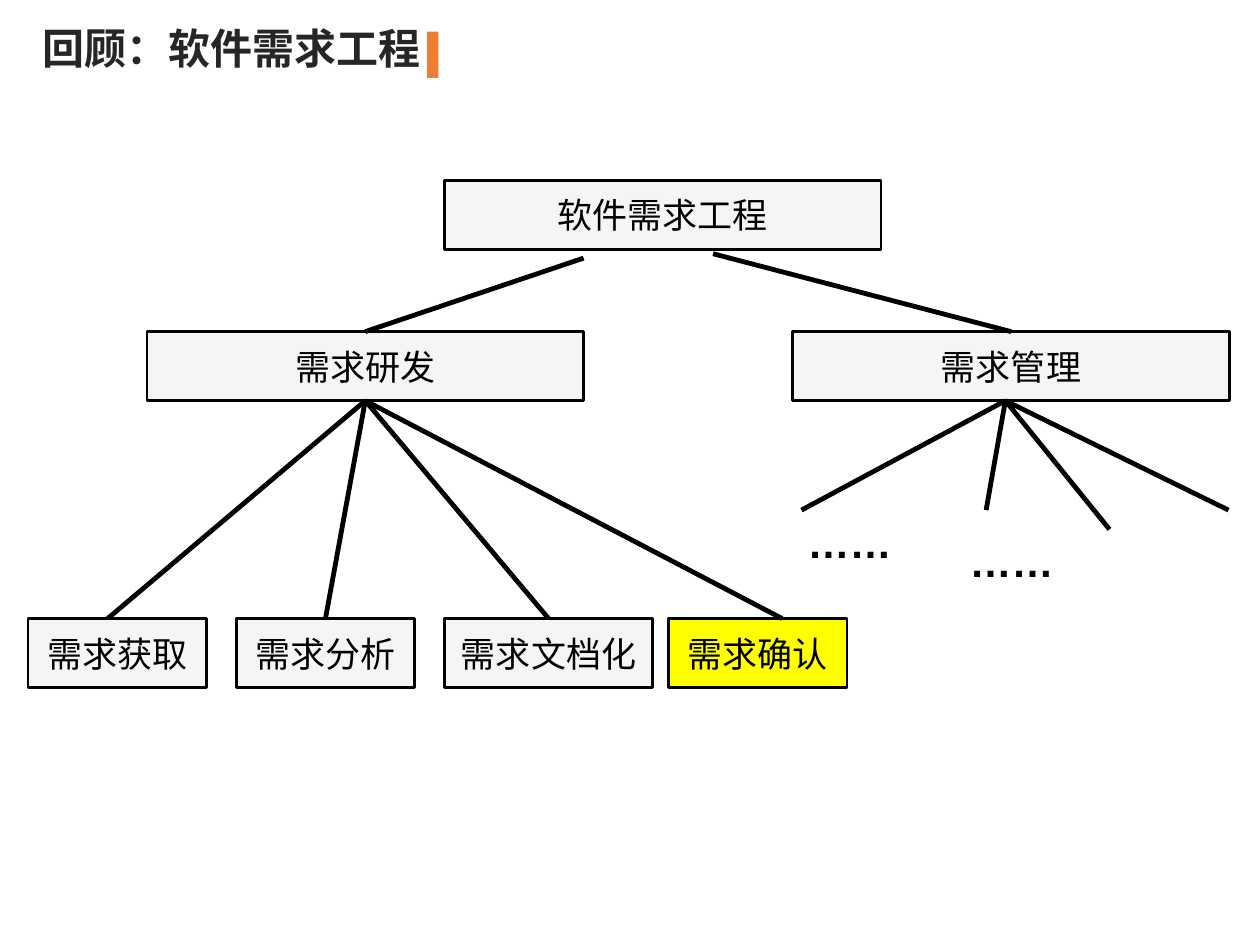
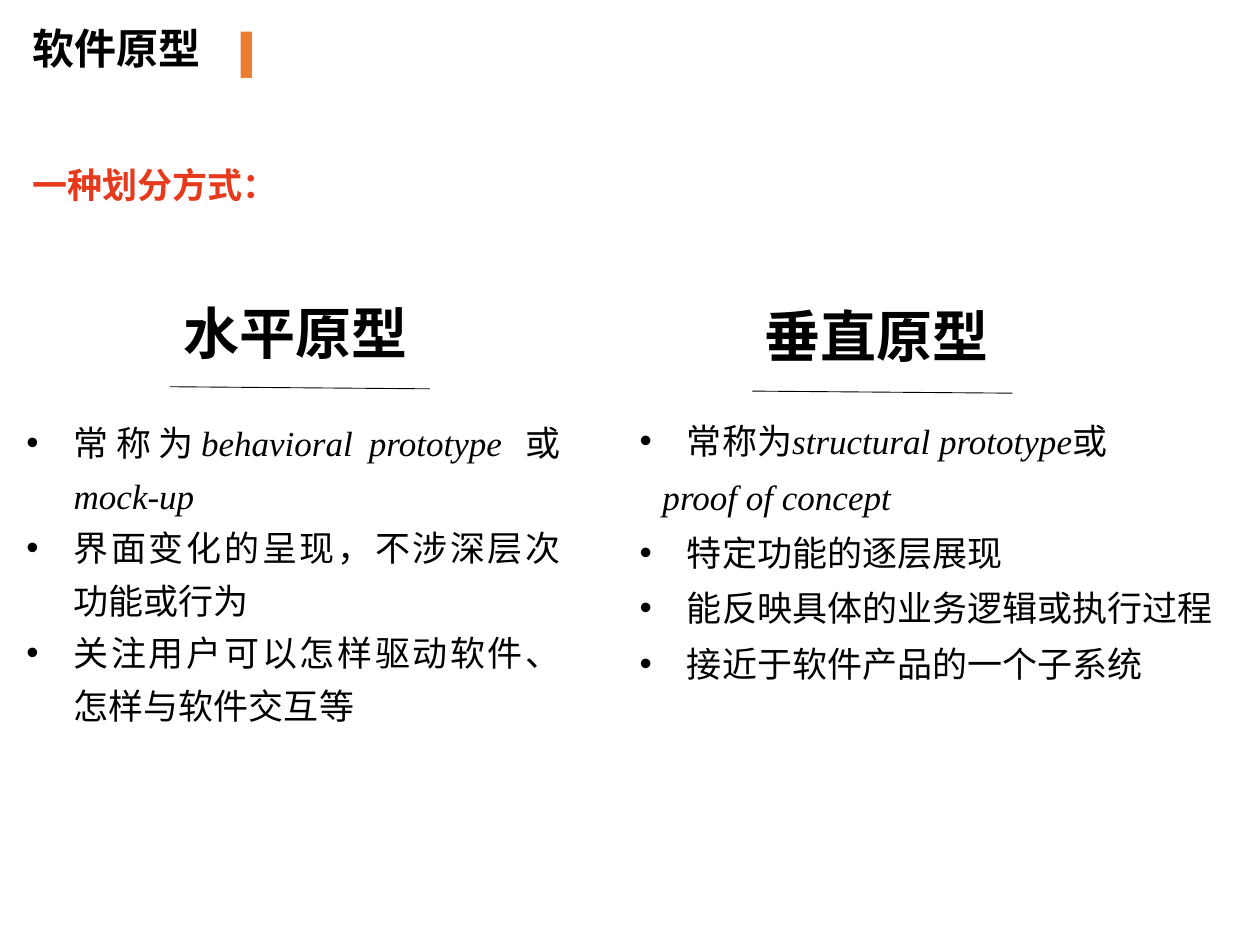
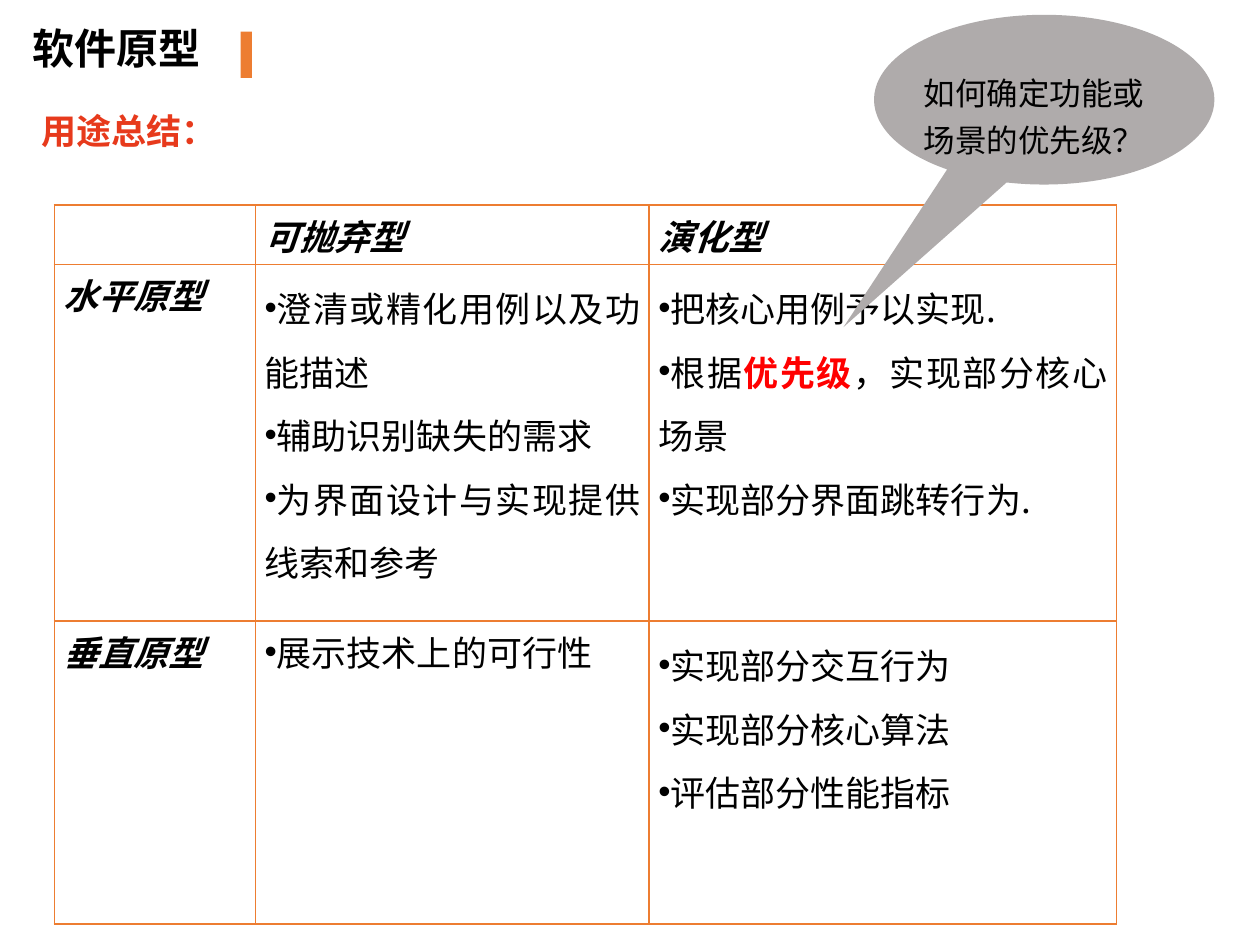
from lxml import etree
from pptx import Presentation
from pptx.dml.color import RGBColor
from pptx.enum.shapes import MSO_CONNECTOR, MSO_SHAPE
from pptx.enum.text import MSO_ANCHOR, PP_ALIGN as ALIGN
from pptx.oxml.ns import qn
from pptx.util import Pt

COLORS = {
    "black": "000000", "title": "262626", "accent": "ED7D31", "heading": "E73A1C",
    "box": "F5F5F5", "current": "FFFF00", "callout": "AFABAB", "priority": "FF0000",
}
RGB = {name: RGBColor.from_string(value) for name, value in COLORS.items()}
CJK, LATIN, HEADING = "Noto Sans CJK SC", "Times New Roman", "Cabin"


def write(p, runs, size=20, color="black", font=CJK, bold=False, italic=False):
    """Add runs to a paragraph; a run is a text or a (text, overrides) pair."""
    for run in runs:
        text, extra = (run, {}) if isinstance(run, str) else run
        look = dict(color=color, font=font, bold=bold, italic=italic) | extra
        r = p.add_run()
        r.text = text
        r.font.size = Pt(size)
        r.font.name = look["font"]
        r.font.bold, r.font.italic = look["bold"], look["italic"]
        r.font.color.rgb = RGB[look["color"]]
        ea = etree.SubElement(r.font._element, qn("a:ea"))
        ea.set("typeface", CJK if look["font"] == HEADING else look["font"])


def add_bullet(p, indent=0):
    pPr = p._p.get_or_add_pPr()
    pPr.set("marL", str(Pt(indent)))
    pPr.set("indent", str(-Pt(indent)))
    etree.SubElement(pPr, qn("a:buFont")).set("typeface", "Arial")
    etree.SubElement(pPr, qn("a:buChar")).set("char", "•")


prs = Presentation()
prs.slide_width, prs.slide_height = Pt(720), Pt(540)
tree, kinds, summary = [prs.slides.add_slide(prs.slide_layouts[6]) for _ in range(3)]

# Titles with their accent bars
for s, title, x, w, color, bar_x in (
    (tree, "回顾：软件需求工程", 17.3, 233, "title", 244),
    (kinds, "软件原型", 11.5, 132.5, "black", 137.5),
    (summary, "软件原型", 11.5, 132.5, "black", 137.5),
):
    tf = s.shapes.add_textbox(Pt(x), Pt(13), Pt(w), Pt(36)).text_frame
    tf.word_wrap, tf.margin_top = True, 0
    write(tf.paragraphs[0], [title], size=24, color=color, bold=True)
    bar = s.shapes.add_shape(MSO_SHAPE.RECTANGLE, Pt(bar_x), Pt(18), Pt(6.5), Pt(26.5))
    bar.shadow.inherit = False
    bar.fill.solid()
    bar.fill.fore_color.rgb = RGB["accent"]
    bar.line.fill.background()

# Single-line headings and labels
red = dict(color="heading", font=HEADING, bold=True)
dots = dict(size=24, font="Arial", bold=True)
big = dict(size=32, bold=True)
for s, text, x, y, w, h, top, look in (
    (tree, "……", 454.5, 291.5, 71.5, 36.5, 3.6, dots),
    (tree, "……", 547, 302.5, 114.5, 36.5, 3.6, dots),
    (kinds, "一种划分方式：", 11.5, 93.5, 160, 32, 0, red),
    (kinds, "水平原型", 98, 170.5, 146, 46, 0, big),
    (kinds, "垂直原型", 430, 172, 146, 46, 0, big),
    (summary, "用途总结：", 16.5, 62.5, 184, 32, 0, red),
):
    tf = s.shapes.add_textbox(Pt(x), Pt(y), Pt(w), Pt(h)).text_frame
    tf.word_wrap, tf.margin_top = True, Pt(top)
    write(tf.paragraphs[0], [text], **look)

# Slide 1: requirements engineering tree
ROOT_Y, BRANCH_Y, LEAF_Y, BOX_H = 103, 189.5, 353.5, 39.5
boxes = {}
for text, x, y, w in (
    ("软件需求工程", 254, ROOT_Y, 249.5),
    ("需求研发", 84, BRANCH_Y, 249.5),
    ("需求管理", 453, BRANCH_Y, 249.5),
    ("需求获取", 16, LEAF_Y, 102),
    ("需求分析", 135, LEAF_Y, 102),
    ("需求文档化", 254, LEAF_Y, 119),
    ("需求确认", 382, LEAF_Y, 102),
):
    sp = tree.shapes.add_shape(MSO_SHAPE.RECTANGLE, Pt(x), Pt(y), Pt(w), Pt(BOX_H))
    sp.shadow.inherit = False
    sp.fill.solid()
    sp.fill.fore_color.rgb = RGB["current" if text == "需求确认" else "box"]
    sp.line.color.rgb, sp.line.width = RGB["black"], Pt(1.5)
    tf = sp.text_frame
    tf.margin_left = tf.margin_right = tf.margin_top = tf.margin_bottom = 0
    tf.vertical_anchor = MSO_ANCHOR.MIDDLE
    tf.paragraphs[0].alignment = ALIGN.CENTER
    write(tf.paragraphs[0], [text])
    boxes[text] = sp

# Lines: slide, ends, weight, and the boxes they are joined to
develop, manage = boxes["需求研发"], boxes["需求管理"]
branch_bottom = BRANCH_Y + BOX_H
links = [
    (tree, (333.5, 147.5), (209, BRANCH_Y), 2.75, None, develop),
    (tree, (407.5, 145), (577.5, BRANCH_Y), 2.75, None, manage),
]
for x, leaf in ((61.5, None), (186, boxes["需求分析"]), (313.5, boxes["需求文档化"]), (447, None)):
    links.append((tree, (209, branch_bottom), (x, LEAF_Y), 2.75, develop, leaf))
for x, y in ((458, 291.5), (563.5, 291.5), (634, 302.5), (702, 291.5)):
    links.append((tree, (574.5, branch_bottom), (x, y), 2.75, None, None))
for x, y in ((97, 221), (430, 223.5)):
    links.append((kinds, (x, y), (x + 148.5, y + 1.2), 0.5, None, None))

for s, start, end, weight, parent, child in links:
    line = s.shapes.add_connector(MSO_CONNECTOR.STRAIGHT, *map(Pt, start + end))
    line.line.color.rgb, line.line.width = RGB["black"], Pt(weight)
    etree.SubElement(line._element.spPr, qn("a:effectLst"))
    if parent:
        line.begin_connect(parent, 2)
    if child:
        line.end_connect(child, 0)

# Slide 2: two kinds of prototype; each paragraph is (has bullet, runs)
term = dict(font=LATIN, italic=True)
for x, w, h, spacing, after, paragraphs in (
    (8, 319.5, 189.5, 30, 0, (
        (True, ["常称为", ("behavioral prototype ", term), "或 ", ("mock-up", term)]),
        (True, ["界面变化的呈现，不涉深层次功能或行为"]),
        (True, ["关注用户可以怎样驱动软件、怎样与软件交互等"]),
    )),
    (358.5, 349.5, 165, 28.8, 3, (
        (True, ["常称为", ("structural prototype", term), "或"]),
        (False, [("proof of concept", term)]),
        (True, ["特定功能的逐层展现"]),
        (True, ["能反映具体的业务逻辑或执行过程"]),
        (True, ["接近于软件产品的一个子系统"]),
    )),
):
    tf = kinds.shapes.add_textbox(Pt(x), Pt(229.5), Pt(w), Pt(h)).text_frame
    tf.word_wrap, tf.margin_top = True, Pt(5.6)
    for i, (has_bullet, runs) in enumerate(paragraphs):
        p = tf.add_paragraph() if i else tf.paragraphs[0]
        p.alignment, p.line_spacing, p.space_after = ALIGN.JUSTIFY, Pt(spacing), Pt(after)
        if has_bullet:
            add_bullet(p, 27)
        else:
            p._p.get_or_add_pPr().set("marL", str(Pt(13)))
        write(p, runs)

# Slide 3: usage table
priority = ("优先级", dict(color="priority", bold=True))
rows = (
    ("", "可抛弃型", "演化型"),
    ("水平原型",
     (["澄清或精化用例以及功能描述"], ["辅助识别缺失的需求"], ["为界面设计与实现提供线索和参考"]),
     (["把核心用例予以实现."], ["根据", priority, "，实现部分核心场景"], ["实现部分界面跳转行为."])),
    ("垂直原型",
     (["展示技术上的可行性"],),
     (["实现部分交互行为"], ["实现部分核心算法"], ["评估部分性能指标"])),
)
table = summary.shapes.add_table(3, 3, Pt(31), Pt(117), Pt(607), Pt(411)).table
table.first_row = table.horz_banding = False
for column, w in zip(table.columns, (115, 225, 267)):
    column.width = Pt(w)
for row, h in zip(table.rows, (34, 204, 173)):
    row.height = Pt(h)
for i, row in enumerate(rows):
    for j, content in enumerate(row):
        cell = table.cell(i, j)
        cell.margin_left = cell.margin_right = Pt(5.2)
        cell.margin_top = cell.margin_bottom = Pt(2.8)
        cell.fill.background()
        tcPr = cell._tc.get_or_add_tcPr()
        for k, side in enumerate(("lnL", "lnR", "lnT", "lnB")):
            ln = etree.Element(qn(f"a:{side}"), w=str(Pt(1)))
            fill = etree.SubElement(ln, qn("a:solidFill"))
            etree.SubElement(fill, qn("a:srgbClr")).set("val", COLORS["accent"])
            tcPr.insert(k, ln)
        tf = cell.text_frame
        if isinstance(content, str):
            if content:
                write(tf.paragraphs[0], [content], bold=True, italic=True)
            continue
        for k, runs in enumerate(content):
            p = tf.add_paragraph() if k else tf.paragraphs[0]
            if len(content) > 1:
                p.alignment, p.line_spacing = ALIGN.JUSTIFY, 1.25
            add_bullet(p)
            write(p, runs)

# Slide 3: question about priorities
callout = summary.shapes.add_shape(
    MSO_SHAPE.OVAL_CALLOUT, Pt(499.5), Pt(8.5), Pt(194.5), Pt(97))
callout.adjustments[0], callout.adjustments[1] = -0.59, 1.34
callout.shadow.inherit = False
callout.fill.solid()
callout.fill.fore_color.rgb = RGB["callout"]
callout.line.fill.background()
tf = callout.text_frame
tf.word_wrap, tf.vertical_anchor = True, MSO_ANCHOR.TOP
tf.margin_left = tf.margin_right = tf.margin_bottom = 0
tf.margin_top = Pt(14)
p = tf.paragraphs[0]
p.alignment, p.line_spacing = ALIGN.LEFT, Pt(27)
write(p, ["如何确定功能或场景的优先级？"], size=18, font=HEADING)

prs.save("out.pptx")
